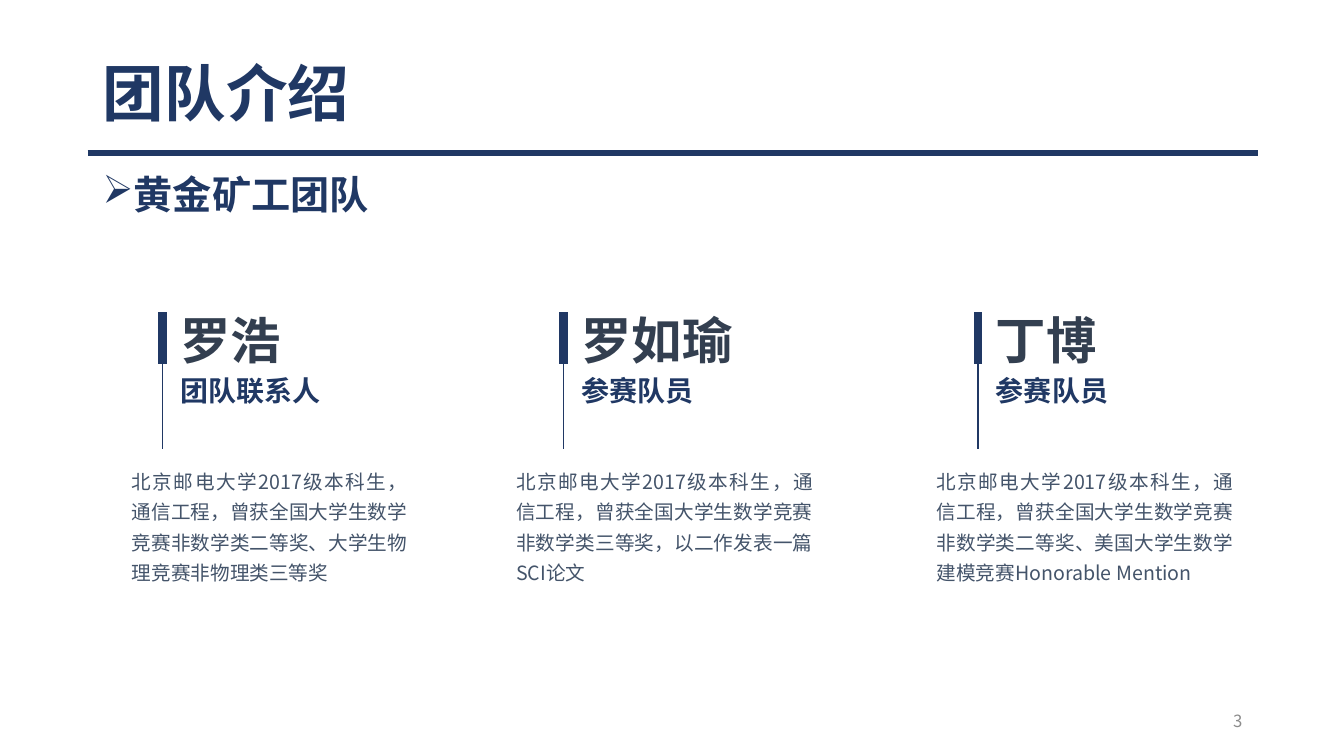
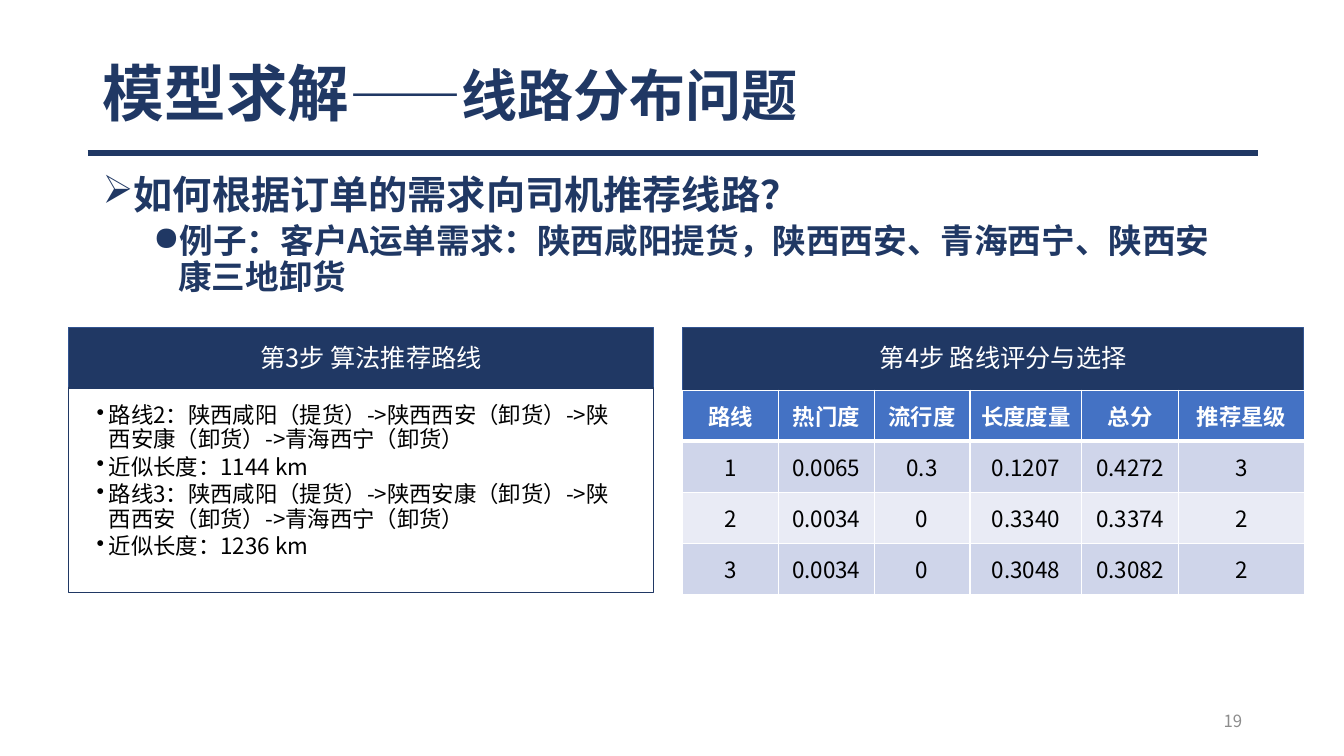
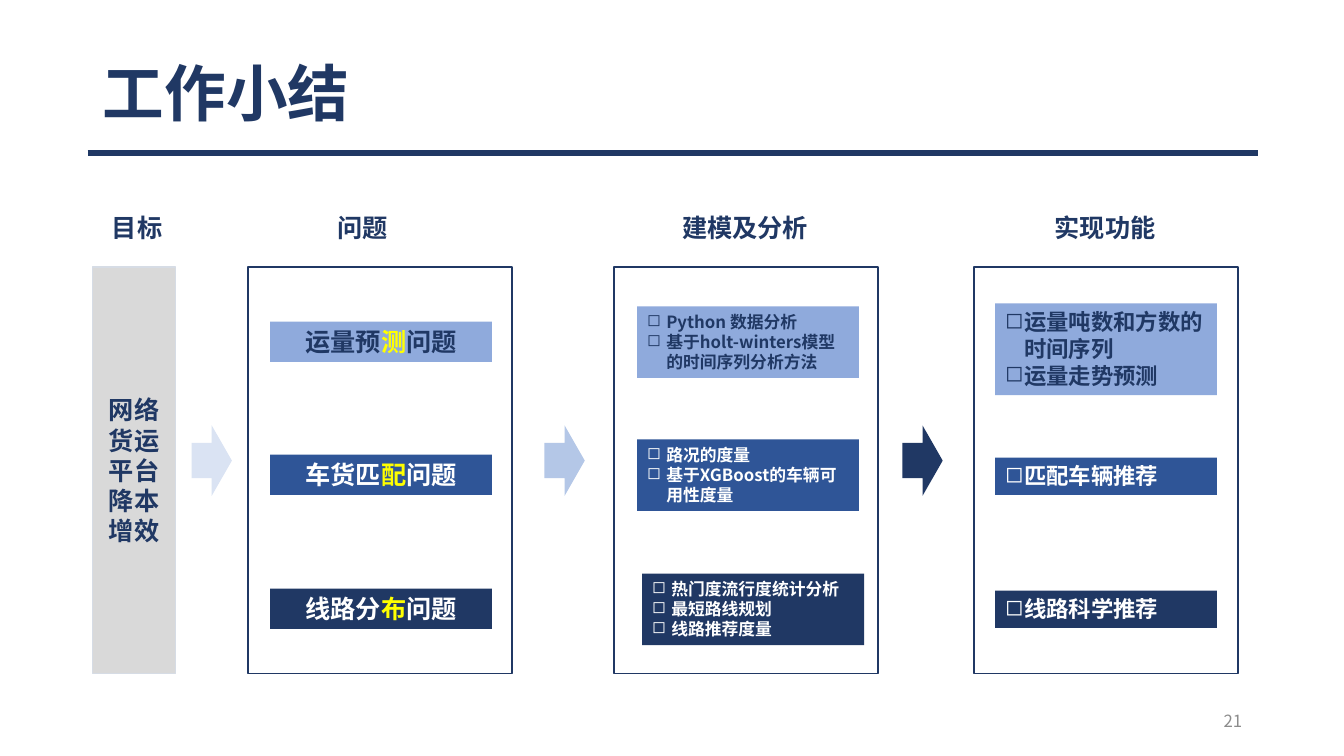
import itertools

import pptx
import pptx.dml.color
import pptx.enum.shapes
import pptx.enum.text
import pptx.oxml
import pptx.oxml.ns
import pptx.util

Inches = pptx.util.Inches
Pt = pptx.util.Pt
hue = pptx.dml.color.RGBColor.from_string
qn = pptx.oxml.ns.qn
SHAPE = pptx.enum.shapes.MSO_SHAPE
STRAIGHT = pptx.enum.shapes.MSO_CONNECTOR.STRAIGHT
ALIGN = pptx.enum.text.PP_ALIGN
ANCHOR = pptx.enum.text.MSO_ANCHOR

FONT = "Noto Sans CJK SC"
NAVY, BLUE, SKY = "203864", "2F5597", "8FAADC"
WHITE, BLACK, YELLOW = "FFFFFF", "000000", "FFFF00"


def box(slide, at, fill=None, line=None, kind=SHAPE.RECTANGLE):
    """Add a preset shape, with no fill or outline unless given."""
    shape = slide.shapes.add_shape(kind, *map(Inches, at))
    shape.shadow.inherit = False
    if fill:
        shape.fill.solid()
        shape.fill.fore_color.rgb = hue(fill)
    else:
        shape.fill.background()
    if line:
        shape.line.color.rgb = hue(line)
        shape.line.width = Pt(1)
    else:
        shape.line.fill.background()
    return shape


def write(holder, text, size, color=NAVY, bold=True, align=ALIGN.LEFT,
          anchor=ANCHOR.TOP, marks=(None,)):
    """Fill a text holder; "|" parts runs, marks are (bullet, left, hang)."""
    frame = holder.text_frame
    frame.text = text
    frame.word_wrap = True
    frame.vertical_anchor = anchor
    for para, mark in zip(frame.paragraphs, itertools.cycle(marks)):
        para.alignment = align
        first, *rest = para.text.split("|")
        para.text = first
        for part in rest:
            para.add_run().text = part
        for run in para.runs:
            run.font.size = Pt(size)
            run.font.bold = bold
            run.font.color.rgb = hue(color)
        if mark:
            char, left, hang = mark
            props = para._p.get_or_add_pPr()
            props.set("marL", str(Inches(left)))
            props.set("indent", str(-Inches(hang)))
            bullet = props.makeelement(qn("a:buChar"), {"char": char})
            props.append(bullet)
    return frame.paragraphs


deck = pptx.Presentation()
deck.slide_width = Inches(13.33)
deck.slide_height = Inches(7.5)
layout = deck.slide_layouts[5]

# Shared frame: title, rule, page number
pages = []
for name, num in (("团队介绍", "3"), ("模型求解|——线路分布问题", "19"),
                  ("工作小结", "21")):
    page = deck.slides.add_slide(layout)
    pages.append(page)
    title = page.shapes.title
    title.left, title.top = Inches(0.92), Inches(0.4)
    title.width, title.height = Inches(11.5), Inches(1.12)
    title.text_frame.auto_size = pptx.enum.text.MSO_AUTO_SIZE.NONE
    para = write(title, name, 44, anchor=ANCHOR.MIDDLE)[0]
    para.line_spacing = 0.9
    for run in para.runs[1:]:
        run.font.size = Pt(40)
    foot = page.shapes.add_textbox(Inches(9.42), Inches(6.95), Inches(3), Inches(0.4))
    write(foot, num, 12, "8C8C8C", False, ALIGN.RIGHT, ANCHOR.MIDDLE)
team, route, recap = pages

rule = team.shapes.add_connector(
    STRAIGHT, Inches(0.87), Inches(1.52), Inches(12.48), Inches(1.52))
rule.line.color.rgb = hue(NAVY)
rule.line.width = Pt(4)
rule.element.nvCxnSpPr.cNvPr.set("id", "20")
layout.shapes.element.append(rule.element)

# Lead lines under the rule
for page, text in (
    (team, "黄金矿工团队"),
    (route, "如何根据订单的需求向司机推荐线路？\n"
            "例子：客户A运单需求：陕西咸阳提货，陕西西安、青海西宁、陕西安康三地卸货"),
):
    lead = page.shapes.add_textbox(Inches(0.92), Inches(1.69), Inches(11.5), Inches(5.06))
    paras = write(lead, text, 28, marks=(("➢", 0.25, 0.25), ("●", 0.75, 0.25)))
    for para, gap, size in zip(paras, (10, 5), (28, 24)):
        para.line_spacing = 0.9
        para.space_before = Pt(gap)
        para.runs[0].font.size = Pt(size)

# Team members
start = "北京邮电大学2017级本科生，通信工程，曾获全国大学生数学竞赛非数学类"
for x, left, wide, name, role, bio in (
    (1.61, 1.21, 2.93, "罗浩", "团队联系人", "二等奖、大学生物理竞赛非物理类三等奖"),
    (5.59, 5.02, 3.14, "罗如瑜", "参赛队员", "三等奖，以二作发表一篇SCI论文"),
    (9.7, 9.19, 3.14, "丁博", "参赛队员",
     "二等奖、美国大学生数学建模竞赛Honorable Mention"),
):
    for top, end, thick in ((3.1, 3.61, 6), (3.61, 4.45, 1)):
        bar = team.shapes.add_connector(
            STRAIGHT, Inches(x), Inches(top), Inches(x), Inches(end))
        bar.line.color.rgb = hue(NAVY)
        bar.line.width = Pt(thick)
    for at, text, size, color, bold, align in (
        ((x + 0.08, 3.02, 1.9, 0.7), name, 36, "333F50", True, ALIGN.LEFT),
        ((x + 0.08, 3.66, 1.9, 0.44), role, 20, NAVY, True, ALIGN.LEFT),
        ((left, 4.54, wide, 1.3), start + bio, 14, "44546A", False, ALIGN.JUSTIFY),
    ):
        label = team.shapes.add_textbox(*map(Inches, at))
        para = write(label, text, size, color, bold, align)[0]
        if align == ALIGN.JUSTIFY:
            para.line_spacing = 1.3

# Route steps
for left, wide, tall, text in ((0.68, 5.8, 2.03, "第3步 算法推荐路线"),
                               (6.77, 6.16, 1.77, "第4步 路线评分与选择")):
    box(route, (left, 3.25, wide, tall), NAVY, "325491")
    head = route.shapes.add_textbox(
        Inches(left + 0.5), Inches(3.35), Inches(wide - 0.8), Inches(0.4))
    write(head, text, 18, WHITE, False, ALIGN.CENTER)

box(route, (0.68, 3.85, 5.8, 2.03), WHITE, NAVY)
panel = box(route, (0.85, 3.9, 5.46, 1.94), WHITE)
frame = panel.text_frame
frame.margin_left = frame.margin_right = Inches(0.11)
frame.margin_top = frame.margin_bottom = Inches(0.11)
steps = ("路线2：陕西咸阳（提货）->陕西西安（卸货）->陕西安康（卸货）->青海西宁（卸货）\n"
         "近似长度：1144 km\n"
         "路线3：陕西咸阳（提货）->陕西安康（卸货）->陕西西安（卸货）->青海西宁（卸货）\n"
         "近似长度：1236 km")
for para in write(panel, steps, 16, BLACK, False, marks=(("•", 0.12, 0.12),)):
    para.line_spacing = 0.9
    para.space_after = Pt(2.5)

# Score table
scores = (
    ("路线", "热门度", "流行度", "长度度量", "总分", "推荐星级"),
    ("1", "0.0065", "0.3", "0.1207", "0.4272", "3"),
    ("2", "0.0034", "0", "0.3340", "0.3374", "2"),
    ("3", "0.0034", "0", "0.3048", "0.3082", "2"),
)
table = route.shapes.add_table(
    4, 6, Inches(6.77), Inches(3.87), Inches(6.16), Inches(2.03)).table
for col, wide in zip(table.columns, (0.95, 0.95, 0.95, 1.11, 0.96, 1.25)):
    col.width = Inches(wide)
for r, row in enumerate(scores):
    fill = ("4472C4", "CFD5EA", "E9EBF5", "CFD5EA")[r]
    for c, text in enumerate(row):
        cell = table.cell(r, c)
        write(cell, text, 16, BLACK if r else WHITE, r == 0, ALIGN.CENTER)
        cell.vertical_anchor = ANCHOR.MIDDLE
        cell.fill.solid()
        cell.fill.fore_color.rgb = hue(fill)
        props = cell._tc.get_or_add_tcPr()
        for i, side in enumerate(("lnL", "lnR", "lnT", "lnB")):
            thick = Pt(3 if (r, side) in ((0, "lnB"), (1, "lnT")) else 1)
            props.insert(i, pptx.oxml.parse_xml(
                f'<a:{side} xmlns:a="http://schemas.openxmlformats.org/drawingml/2006/main"'
                f' w="{thick}"><a:solidFill><a:srgbClr val="{WHITE}"/></a:solidFill>'
                f'</a:{side}>'))

# Recap flow
goal = box(recap, (0.92, 2.65, 0.82, 4.03), "D9D9D9", "D6DCE5")
write(goal, "网络货运平台降本增效", 18, align=ALIGN.CENTER, anchor=ANCHOR.MIDDLE)
for left, wide, text in ((0.92, 0.88, "目标"), (3.16, 0.88, "问题"),
                         (6.22, 2.34, "建模及分析"), (9.79, 2.34, "实现功能")):
    head = recap.shapes.add_textbox(Inches(left), Inches(2.06), Inches(wide), Inches(0.4))
    write(head, text, 18, align=ALIGN.CENTER)

square = ("◻", 0.19, 0.19)
for left, size, mark, align, arrow, tint, cards in (
    (2.46, 18, None, ALIGN.CENTER, 1.9, "DAE3F3", (
        (2.68, 3.19, 0.4, "运量预|测|问题"),
        (2.68, 4.51, 0.4, "车货匹|配|问题"),
        (2.68, 5.84, 0.4, "线路分|布|问题"))),
    (6.09, 12, square, ALIGN.LEFT, 5.4, "B4C7E7", (
        (6.32, 3.04, 0.71, "Python 数据分析\n基于holt-winters模型的时间序列分析方法"),
        (6.32, 4.36, 0.71, "路况的度量\n基于XGBoost的车辆可用性度量"),
        (6.37, 5.69, 0.71, "热门度流行度统计分析\n最短路线规划\n线路推荐度量"))),
    (9.66, 16, square, ALIGN.LEFT, 8.95, NAVY, (
        (9.87, 3.01, 0.91, "运量吨数和方数的时间序列\n运量走势预测"),
        (9.87, 4.54, 0.37, "匹配车辆推荐"),
        (9.87, 5.86, 0.37, "线路科学推荐"))),
):
    box(recap, (left, 2.65, 2.62, 4.03), line=NAVY)
    box(recap, (arrow, 4.22, 0.4, 0.7), tint, kind=SHAPE.RIGHT_ARROW)
    for (x, y, tall, text), fill, ink in zip(
            cards, (SKY, BLUE, NAVY), (NAVY, WHITE, WHITE)):
        card = box(recap, (x, y, 2.2, tall), fill)
        para = write(card, text, size, ink, align=align, marks=(mark,))[0]
        for run in para.runs[1:2]:
            run.font.color.rgb = hue(YELLOW)

# One font for all scripts, no connector shadows
for page in (layout, *pages):
    for props in page.element.iter(qn("a:rPr")):
        props.set("lang", "zh-CN")
        for tag in ("a:latin", "a:ea"):
            props.append(props.makeelement(qn(tag), {"typeface": FONT}))
    for line in page.element.iter(qn("p:cxnSp")):
        line.spPr.append(line.makeelement(qn("a:effectLst"), {}))

deck.save("out.pptx")
